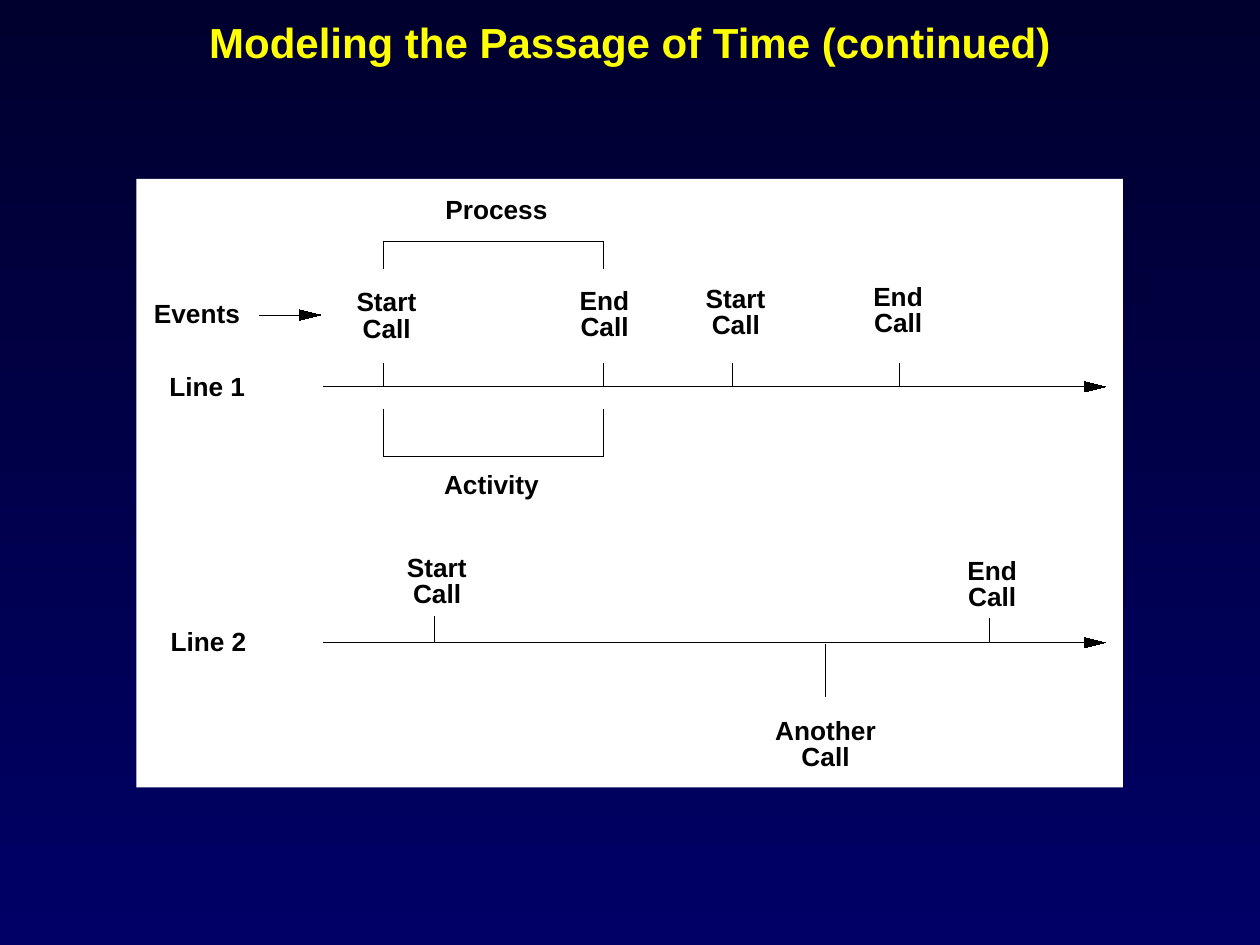
from lxml.etree import SubElement
from pptx import Presentation
from pptx.dml.color import RGBColor
from pptx.enum.shapes import MSO_CONNECTOR, MSO_SHAPE
from pptx.enum.text import MSO_ANCHOR, MSO_AUTO_SIZE, PP_ALIGN
from pptx.oxml.ns import qn
from pptx.util import Pt

HUES = {"night": "00002F", "blue": "000066", "title": "FFFF00",
        "panel": "FFFFFF", "ink": "000000"}
WIDTHS = {"Start": 35.5, "End": 29.5, "Call": 28.5, "Another": 58.5,
          "Process": 59.5, "Activity": 55.5, "Events": 50.5,
          "Line 1": 44.5, "Line 2": 44.5}
LEAD = 15
HAIR = Pt(0.01)


def hue(name):
    """Return the named colour."""
    return RGBColor.from_string(HUES[name])


def style(para, size, name):
    """Set the bold font of a paragraph."""
    font = para.font
    font.name, font.size, font.bold = "Arial", Pt(size), True
    font.color.rgb = hue(name)


def word(slide, box, mid, top, text):
    """Place one label centred on mid within the box."""
    wide = WIDTHS[text]
    label = slide.shapes.add_textbox(
        Pt(box[0] + mid - wide / 2), Pt(box[1] + top), Pt(wide), Pt(18))
    frame = label.text_frame
    frame.margin_left = frame.margin_right = 0
    frame.margin_top = frame.margin_bottom = 0
    frame.word_wrap = False
    frame.auto_size = MSO_AUTO_SIZE.SHAPE_TO_FIT_TEXT
    frame.text = text
    style(frame.paragraphs[0], 15, "ink")


def line(slide, box, x1, y1, x2, y2):
    """Draw a hairline within the box."""
    left, top = box[:2]
    rule = slide.shapes.add_connector(
        MSO_CONNECTOR.STRAIGHT, Pt(left + x1), Pt(top + y1),
        Pt(left + x2), Pt(top + y2))
    rule.line.color.rgb = hue("ink")
    rule.line.width = HAIR
    SubElement(rule._element.spPr, qn("a:effectLst"))


def arrow(slide, box, start, end, y):
    """Draw a level line with a solid triangle after its end."""
    line(slide, box, start, y, end, y)
    x, y = box[0] + end, box[1] + y
    path = slide.shapes.build_freeform(Pt(x + 12), Pt(y))
    path.add_line_segments([(Pt(x), Pt(y + 3)), (Pt(x), Pt(y - 3))])
    head = path.convert_to_shape()
    head.shadow.inherit = False
    head.fill.solid()
    head.fill.fore_color.rgb = hue("ink")
    head.line.color.rgb = hue("ink")
    head.line.width = HAIR


def brace(slide, box, left, right, foot, bar):
    """Draw a square bracket from its feet to its bar."""
    line(slide, box, left, foot, left, bar)
    line(slide, box, left, bar, right, bar)
    line(slide, box, right, bar, right, foot)


def event(slide, box, mid, top, first, tick, near, far):
    """Place a two-line event label and its tick."""
    for row, text in enumerate((first, "Call")):
        word(slide, box, mid, top + row * LEAD, text)
    line(slide, box, tick, near, tick, far)


def heading(slide, box):
    """Place the slide title."""
    frame = slide.shapes.add_textbox(*map(Pt, box)).text_frame
    frame.word_wrap = True
    frame.vertical_anchor = MSO_ANCHOR.MIDDLE
    frame.text = "Modeling the Passage of Time (continued)"
    para = frame.paragraphs[0]
    para.alignment = PP_ALIGN.CENTER
    style(para, 24, "title")


def panel(slide, box):
    """Draw the white panel."""
    back = slide.shapes.add_shape(MSO_SHAPE.RECTANGLE, *map(Pt, box))
    back.shadow.inherit = False
    back.fill.solid()
    back.fill.fore_color.rgb = hue("panel")
    back.line.fill.background()


def axis(slide, box, mid, top, name, y, events):
    """Draw one named time line with its events."""
    arrow(slide, box, 107, 541.5, y)
    word(slide, box, mid, top, name)
    for item in events:
        event(slide, box, *item)


def chart(slide, box):
    """Draw both time lines with their process and activity."""
    panel(slide, box)
    one, two = 118.75, 265
    left, right = 141.25, 267
    axis(slide, box, 41, 109.5, "Line 1", one, [
        (143.5, 61, "Start", left, one, 105.75),
        (268, 60, "End", right, one, 105.75),
        (343, 59, "Start", 340.75, one, 105.75),
        (435.75, 57.75, "End", 435.75, one, 105.75)])
    axis(slide, box, 41.75, 255, "Line 2", two, [
        (172.25, 212.5, "Start", 170.25, two, 250.25),
        (489.5, 214.5, "End", 487.5, two, 251.25),
        (394.25, 306, "Another", 393.75, 266.25, 296)])
    brace(slide, box, left, right, 51, 35.75)
    word(slide, box, 206.25, 8, "Process")
    brace(slide, box, left, right, 131.75, 158.5)
    word(slide, box, 203.5, 165.5, "Activity")
    word(slide, box, 35.25, 67.75, "Events")
    arrow(slide, box, 70.25, 93.25, 77.75)


def main():
    """Build and save the slide."""
    deck = Presentation()
    deck.slide_width, deck.slide_height = Pt(720), Pt(540)
    slide = deck.slides.add_slide(deck.slide_layouts[6])
    fill = slide.background.fill
    fill.gradient()
    fill.gradient_angle = 270
    for stop, name in zip(fill.gradient_stops, ("night", "blue")):
        stop.color.rgb = hue(name)
    heading(slide, (54, 6, 612, 36))
    chart(slide, (78, 102.25, 563.75, 347.75))
    deck.save("out.pptx")


if __name__ == "__main__":
    main()
